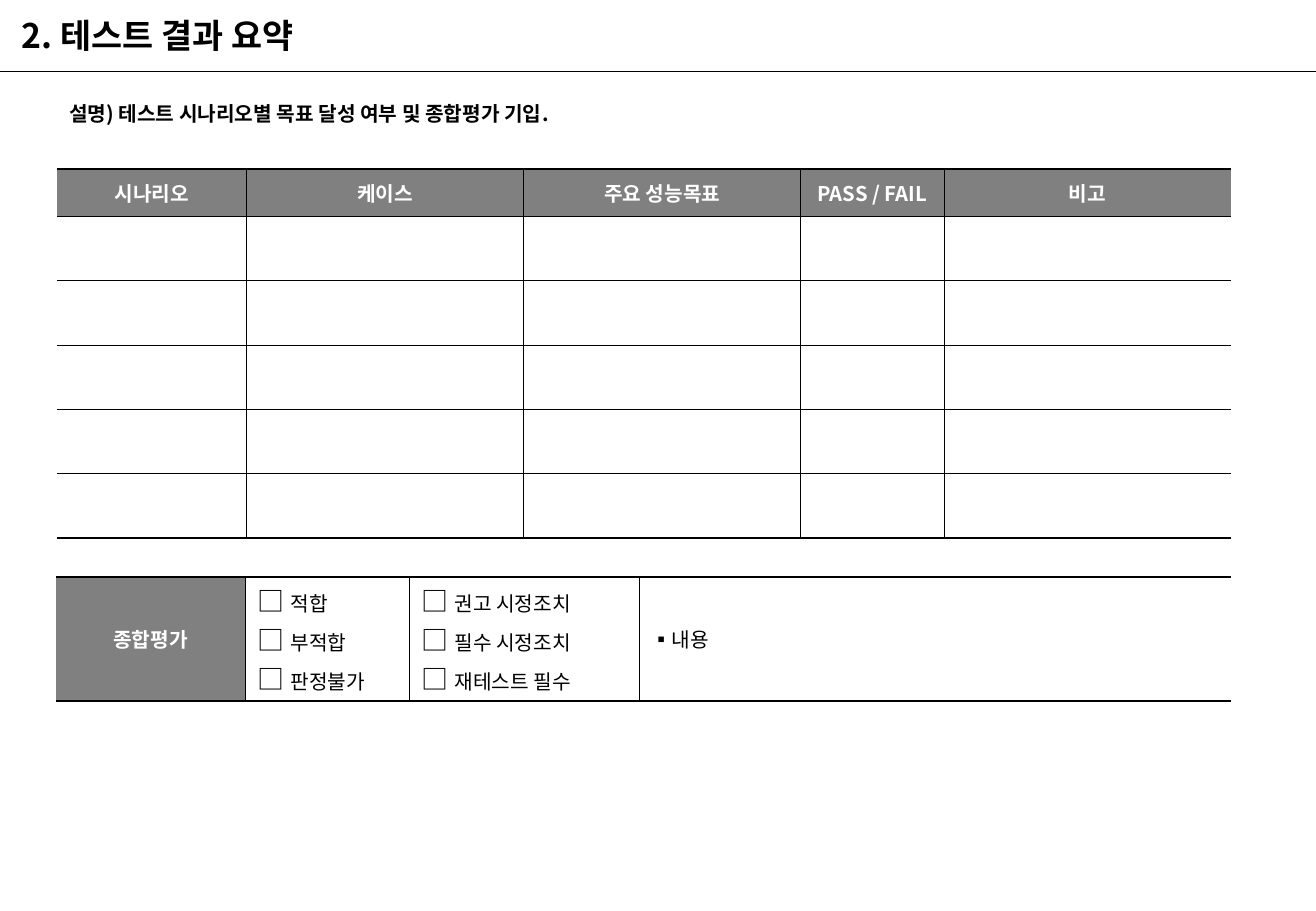
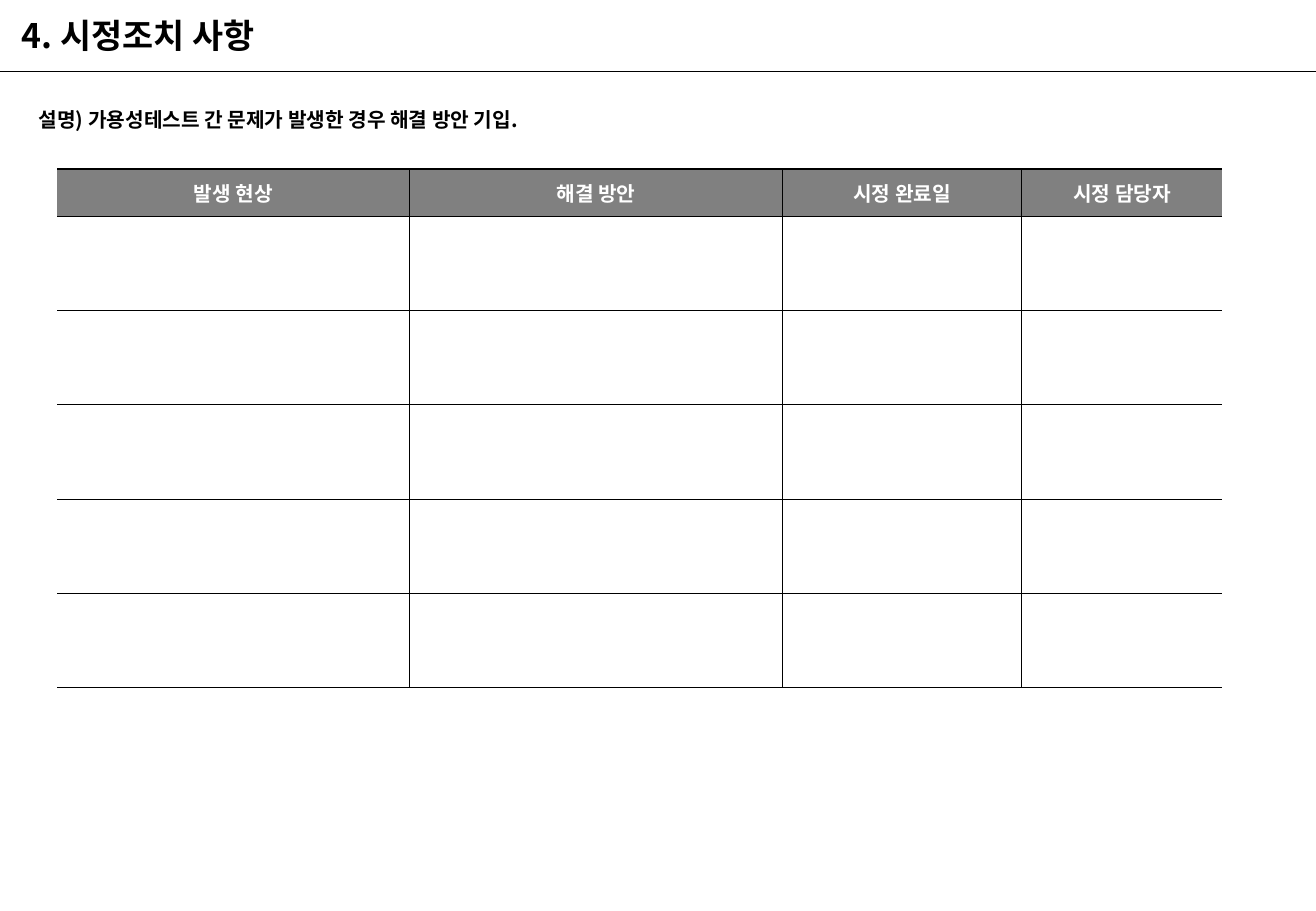
from lxml import etree
from pptx import Presentation, util as u
from pptx.dml.color import RGBColor
from pptx.enum import shapes, text
from pptx.oxml import ns

BLACK = RGBColor(0x00, 0x00, 0x00)
WHITE = RGBColor(0xFF, 0xFF, 0xFF)
GRAY = RGBColor(0x80, 0x80, 0x80)
FONT = "Noto Sans CJK KR"
SLIDE_W, SLIDE_H = 10.83, 7.5
RULE_Y = 0.59
HEADER_H = 0.39
BODY_ROWS = 5
THIN, THICK = 0.5, 1

TITLE = dict(size=u.Pt(20), bold=True, color=BLACK)
NOTE = dict(size=u.Pt(12), bold=True, color=BLACK)
HEADER = dict(size=u.Pt(12), bold=True, color=WHITE)
BODY = dict(size=u.Pt(12), bold=False, color=BLACK)
CHECKBOX = dict(size=u.Pt(16), bold=False, color=BLACK)


def sub(parent, tag, **attrs):
    """Add a DrawingML child element."""
    return etree.SubElement(parent, ns.qn(tag), attrs)


def add_run(p, words, fmt):
    """Add a run with the given format to a paragraph."""
    r = p.add_run()
    r.text = words
    r.font.name = FONT
    for name, value in fmt.items():
        if name == "color":
            r.font.color.rgb = value
        else:
            setattr(r.font, name, value)
    sub(r.font._element, "a:ea", typeface=FONT)


def place(sp, box):
    """Place a shape in a box of left, top, width and height."""
    for name, value in zip(("left", "top", "width", "height"), box):
        setattr(sp, name, u.Inches(value))


def format_frame(tf, anchor):
    """Set wrapping, sizing and anchor of a text frame."""
    values = dict(word_wrap=True, auto_size=text.MSO_AUTO_SIZE.NONE,
                  vertical_anchor=anchor)
    for name, value in values.items():
        setattr(tf, name, value)


def set_up_layout(layout, s):
    """Give the layout its title box and the rule under it."""
    title = layout.placeholders[0]
    place(title, (0.08, 0.07, 5.34, 0.48))
    format_frame(title.text_frame, text.MSO_ANCHOR.TOP)
    y = u.Inches(RULE_Y)
    rule = s.shapes.add_connector(shapes.MSO_CONNECTOR.STRAIGHT,
                                  0, y, u.Inches(SLIDE_W), y)
    rule.line.color.rgb = BLACK
    rule.line.width = u.Pt(0.75)
    sub(rule._element.spPr, "a:effectLst")
    layout.shapes._spTree.append(rule._element)


def add_heading(s, title, note, box):
    """Fill the title and add the bold note below it."""
    p = s.shapes.title.text_frame.paragraphs[0]
    p.alignment = text.PP_ALIGN.LEFT
    add_run(p, title, TITLE)
    tf = s.shapes.add_textbox(*map(u.Inches, box)).text_frame
    format_frame(tf, text.MSO_ANCHOR.BOTTOM)
    add_run(tf.paragraphs[0], note, NOTE)


def add_borders(cell, widths):
    """Draw the left, right, top and bottom borders; width 0 is no line."""
    tcPr = cell._tc.get_or_add_tcPr()
    for tag, width in zip(("a:lnL", "a:lnR", "a:lnT", "a:lnB"), widths):
        ln = sub(tcPr, tag, w=str(u.Pt(width)))
        if width:
            sub(sub(ln, "a:solidFill"), "a:srgbClr", val=str(BLACK))
        else:
            sub(ln, "a:noFill")


def add_grid(s, box, cols, rows):
    """Add a table with open sides, thick outer rules and thin inner rules."""
    tbl = s.shapes.add_table(len(rows), len(cols), *map(u.Inches, box)).table
    tbl.first_row = tbl.horz_banding = False
    for col, width in zip(tbl.columns, cols):
        col.width = u.Inches(width)
    for row, height in zip(tbl.rows, rows):
        row.height = u.Inches(height)
    last_row, last_col = len(rows) - 1, len(cols) - 1
    for i, row in enumerate(tbl.rows):
        for j, cell in enumerate(row.cells):
            add_borders(cell, (THIN if j else 0,
                               THIN if j < last_col else 0,
                               THIN if i else THICK,
                               THIN if i < last_row else THICK))
            cell.fill.background()
            cell.vertical_anchor = text.MSO_ANCHOR.MIDDLE
    return tbl


def fill_header(cell, words):
    """Make a gray cell with centred white text."""
    cell.fill.solid()
    cell.fill.fore_color.rgb = GRAY
    p = cell.text_frame.paragraphs[0]
    p.alignment = text.PP_ALIGN.CENTER
    add_run(p, words, HEADER)


def add_form(s, box, cols, heads):
    """Add a table with a header row and equal empty rows."""
    row_h = (box[3] - HEADER_H) / BODY_ROWS
    tbl = add_grid(s, box, cols, [HEADER_H] + [row_h] * BODY_ROWS)
    for cell, words in zip(tbl.rows[0].cells, heads):
        fill_header(cell, words)


def fill_checklist(cell, items):
    """List items with a checkbox in front of each."""
    cell.margin_top = cell.margin_bottom = u.Inches(0.03)
    tf = cell.text_frame
    for i, item in enumerate(items):
        p = tf.add_paragraph() if i else tf.paragraphs[0]
        add_run(p, "□ ", CHECKBOX)
        add_run(p, item, BODY)


def add_verdict(s, box, cols, head, checklists, remark):
    """Add the overall verdict row with checklists and a remark."""
    cells = add_grid(s, box, cols, [box[3]]).rows[0].cells
    head_cell, *check_cells, remark_cell = cells
    fill_header(head_cell, head)
    for cell, items in zip(check_cells, checklists):
        fill_checklist(cell, items)
    p = remark_cell.text_frame.paragraphs[0]
    pPr = p._p.get_or_add_pPr()
    indent = u.Inches(0.09)
    pPr.set("marL", str(indent))
    pPr.set("indent", str(-indent))
    sub(pPr, "a:buFont", typeface=FONT)
    sub(pPr, "a:buChar", char="▪")
    add_run(p, remark, BODY)


def build_summary(s):
    """Build the test result summary slide."""
    add_heading(s, "2. 테스트 결과 요약",
                "설명) 테스트 시나리오별 목표 달성 여부 및 종합평가 기입.",
                (0.47, 0.71, 5.49, 0.37))
    add_form(s, (0.47, 1.39, 9.67, 3.04), (1.56, 2.28, 2.28, 1.18, 2.36),
             ("시나리오", "케이스", "주요 성능목표", "PASS / FAIL", "비고"))
    add_verdict(s, (0.46, 4.75, 9.67, 1.02), (1.56, 1.35, 1.89, 4.87),
                "종합평가",
                (("적합", "부적합", "판정불가"),
                 ("권고 시정조치", "필수 시정조치", "재테스트 필수")),
                "내용")


def build_corrections(s):
    """Build the corrective action slide."""
    add_heading(s, "4. 시정조치 사항",
                "설명) 가용성테스트 간 문제가 발생한 경우 해결 방안 기입.",
                (0.22, 0.76, 6.61, 0.37))
    add_form(s, (0.47, 1.39, 9.59, 4.27), (2.9, 3.07, 1.97, 1.65),
             ("발생 현상", "해결 방안", "시정 완료일", "시정 담당자"))


def main():
    """Build and save the presentation."""
    prs = Presentation()
    prs.slide_width, prs.slide_height = u.Inches(SLIDE_W), u.Inches(SLIDE_H)
    layout = prs.slide_layouts[5]
    summary, corrections = (prs.slides.add_slide(layout) for _ in range(2))
    set_up_layout(layout, summary)
    build_summary(summary)
    build_corrections(corrections)
    prs.save("out.pptx")


if __name__ == "__main__":
    main()
